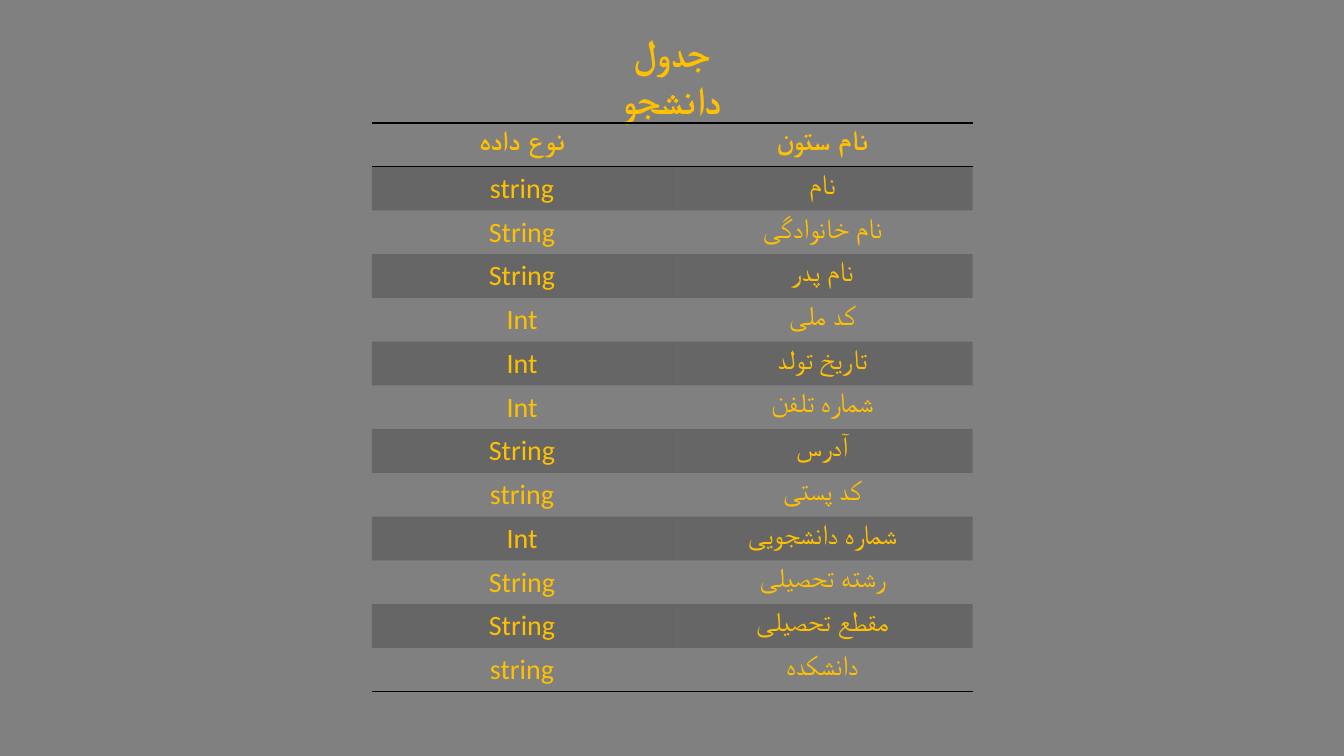
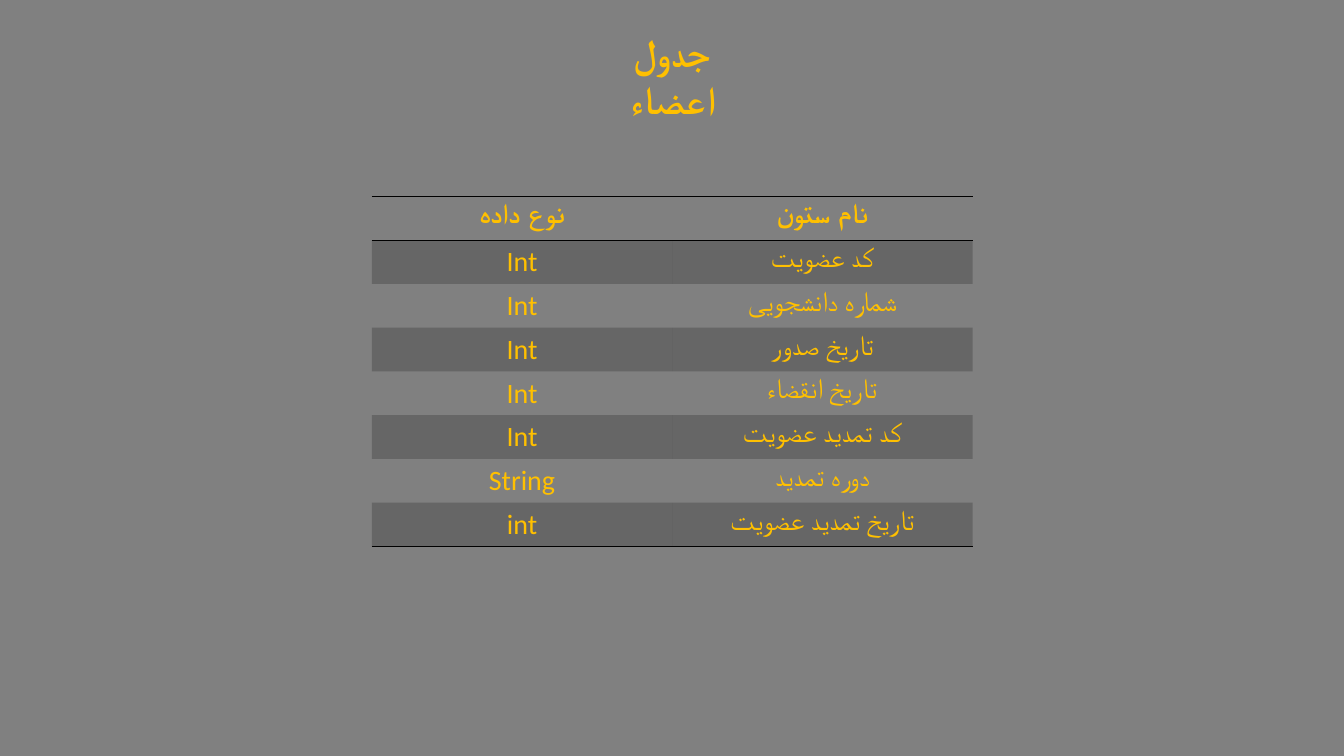
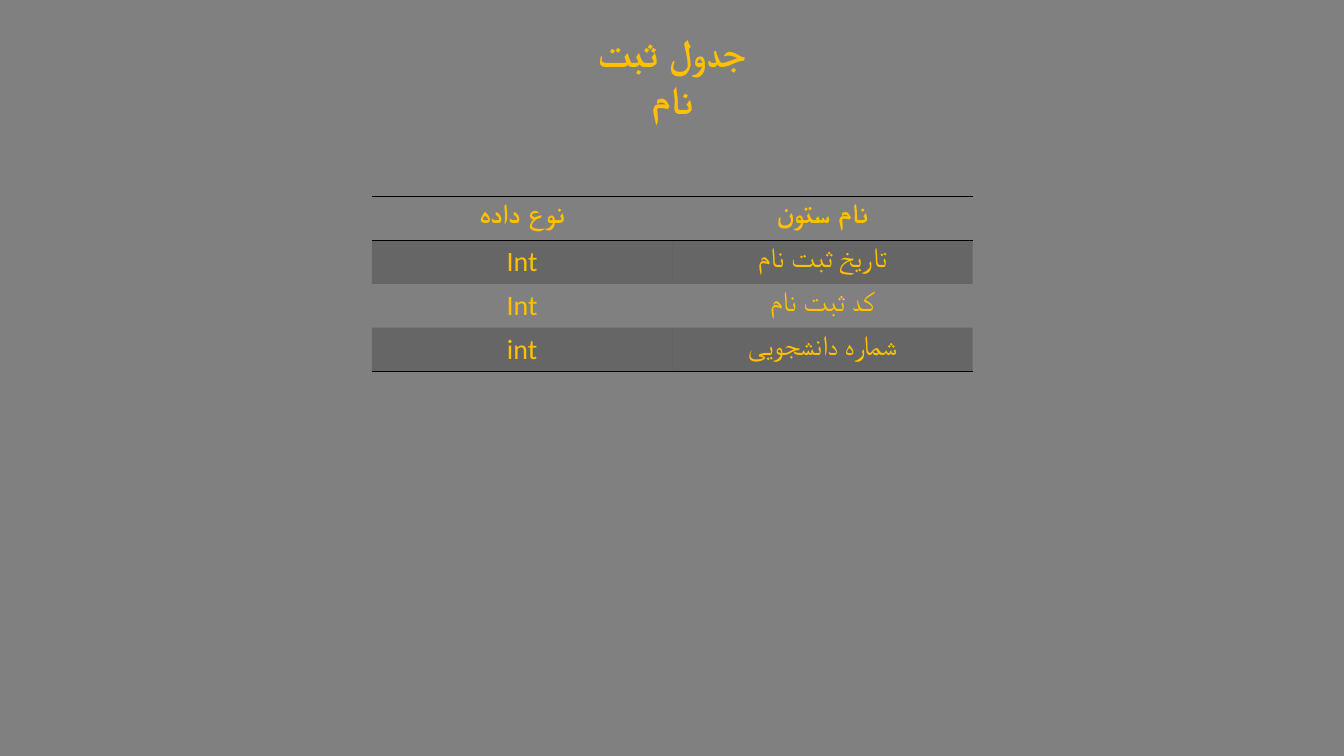
from dataclasses import dataclass

from lxml.etree import SubElement
from pptx import Presentation
from pptx.dml.color import RGBColor
from pptx.enum.text import MSO_AUTO_SIZE, PP_ALIGN
from pptx.oxml.ns import qn
from pptx.slide import Slide
from pptx.table import _Cell
from pptx.text.text import _Paragraph
from pptx.util import Cm, Pt


@dataclass(frozen=True)
class Theme:
    back: str = "808080"
    gold: str = "FFC000"
    ink: str = "000000"
    shade: int = 20
    head: str = "Arial"
    body: str = "Calibri"
    big: int = 28
    mid: int = 20
    rule: int = 1
    plain: str = "{2D5ABB26-0587-4C30-8999-92F81FD0307C}"


@dataclass(frozen=True)
class Field:
    kind: str
    name: str


@dataclass(frozen=True)
class Sheet:
    title: str
    width: float
    top: float
    fields: tuple[Field, ...]


THEME = Theme()
WIDE, HIGH = 33.87, 19.05
LEFT, COL, ROW = 9.37, 7.57, 1.1
HEADER = Field("نوع داده", "نام ستون")

SHEETS = (
    Sheet("جدول دانشجو", 4.27, 3.1, (
        Field("string", "نام"),
        Field("String", "نام خانوادگی"),
        Field("String", "نام پدر"),
        Field("Int", "کد ملی"),
        Field("Int", "تاریخ تولد"),
        Field("Int", "شماره تلفن"),
        Field("String", "آدرس"),
        Field("string", "کد پستی"),
        Field("Int", "شماره دانشجویی"),
        Field("String", "رشته تحصیلی"),
        Field("String", "مقطع تحصیلی"),
        Field("string", "دانشکده"),
    )),
    Sheet("جدول اعضاء", 3.81, 4.95, (
        Field("Int", "کد عضویت"),
        Field("Int", "شماره دانشجویی"),
        Field("Int", "تاریخ صدور"),
        Field("Int", "تاریخ انقضاء"),
        Field("Int", "کد تمدید عضویت"),
        Field("String", "دوره تمدید"),
        Field("int", "تاریخ تمدید عضویت"),
    )),
    Sheet("جدول ثبت نام", 4.34, 4.95, (
        Field("Int", "تاریخ ثبت نام"),
        Field("Int", "کد ثبت نام"),
        Field("int", "شماره دانشجویی"),
    )),
)


def write(para: _Paragraph, text: str, face: str, size: int, bold: bool) -> None:
    para.text = text
    para.alignment = PP_ALIGN.CENTER
    para._p.get_or_add_pPr().set("rtl", "1")
    font = para.font
    font.name, font.size, font.bold = face, Pt(size), bold
    font.color.rgb = RGBColor.from_string(THEME.gold)


def border(cell: _Cell, side: str) -> None:
    line = SubElement(cell._tc.get_or_add_tcPr(), qn(f"a:{side}"), w=str(Pt(THEME.rule)))
    fill = SubElement(line, qn("a:solidFill"))
    SubElement(fill, qn("a:srgbClr"), val=THEME.ink)


def tint(cell: _Cell) -> None:
    cell.fill.solid()
    cell.fill.fore_color.rgb = RGBColor.from_string(THEME.ink)
    tone = cell._tc.tcPr.find(f"{qn('a:solidFill')}/{qn('a:srgbClr')}")
    SubElement(tone, qn("a:alpha"), val=str(THEME.shade * 1000))


def add_title(slide: Slide, sheet: Sheet) -> None:
    left = (WIDE - sheet.width) / 2
    box = slide.shapes.add_textbox(Cm(left), Cm(0.58), Cm(sheet.width), Cm(1.45))
    frame = box.text_frame
    frame.word_wrap = True
    frame.auto_size = MSO_AUTO_SIZE.SHAPE_TO_FIT_TEXT
    write(frame.paragraphs[0], sheet.title, THEME.head, THEME.big, True)


def add_grid(slide: Slide, sheet: Sheet) -> None:
    rows = (HEADER, *sheet.fields)
    last = len(rows) - 1
    frame = slide.shapes.add_table(
        len(rows), 2, Cm(LEFT), Cm(sheet.top), Cm(2 * COL), Cm(ROW * len(rows))
    )
    table = frame.table
    table.first_row = table.horz_banding = False
    table._tbl.tblPr.find(qn("a:tableStyleId")).text = THEME.plain
    for row, field in enumerate(rows):
        for col, text in enumerate((field.kind, field.name)):
            cell = table.cell(row, col)
            write(cell.text_frame.paragraphs[0], text, THEME.body, THEME.mid, row == 0)
            if row == 0:
                border(cell, "lnT")
            if row in (0, last):
                border(cell, "lnB")
            if row % 2:
                tint(cell)
            else:
                cell.fill.background()


def main() -> None:
    deck = Presentation()
    deck.slide_width, deck.slide_height = Cm(WIDE), Cm(HIGH)
    back = deck.slide_master.background.fill
    back.solid()
    back.fore_color.rgb = RGBColor.from_string(THEME.back)
    for sheet in SHEETS:
        slide = deck.slides.add_slide(deck.slide_layouts[6])
        add_title(slide, sheet)
        add_grid(slide, sheet)
    deck.save("out.pptx")


main()
